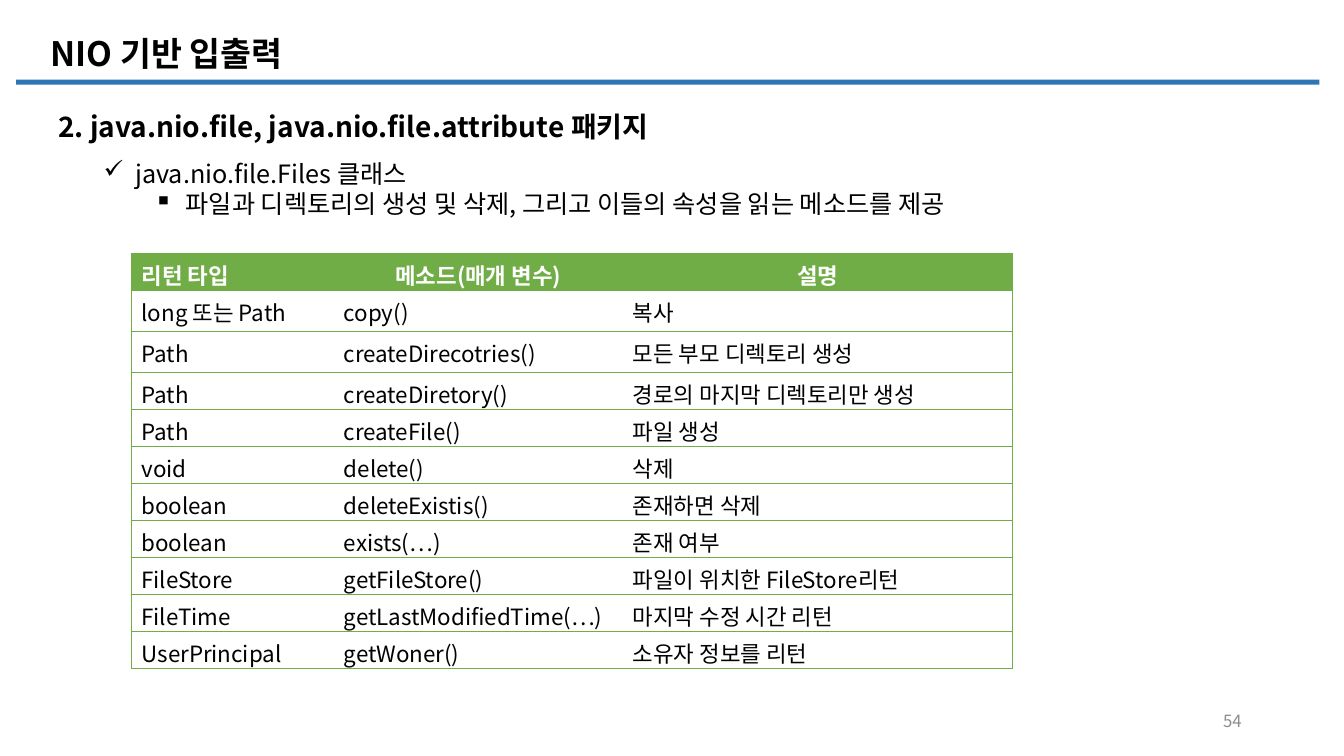
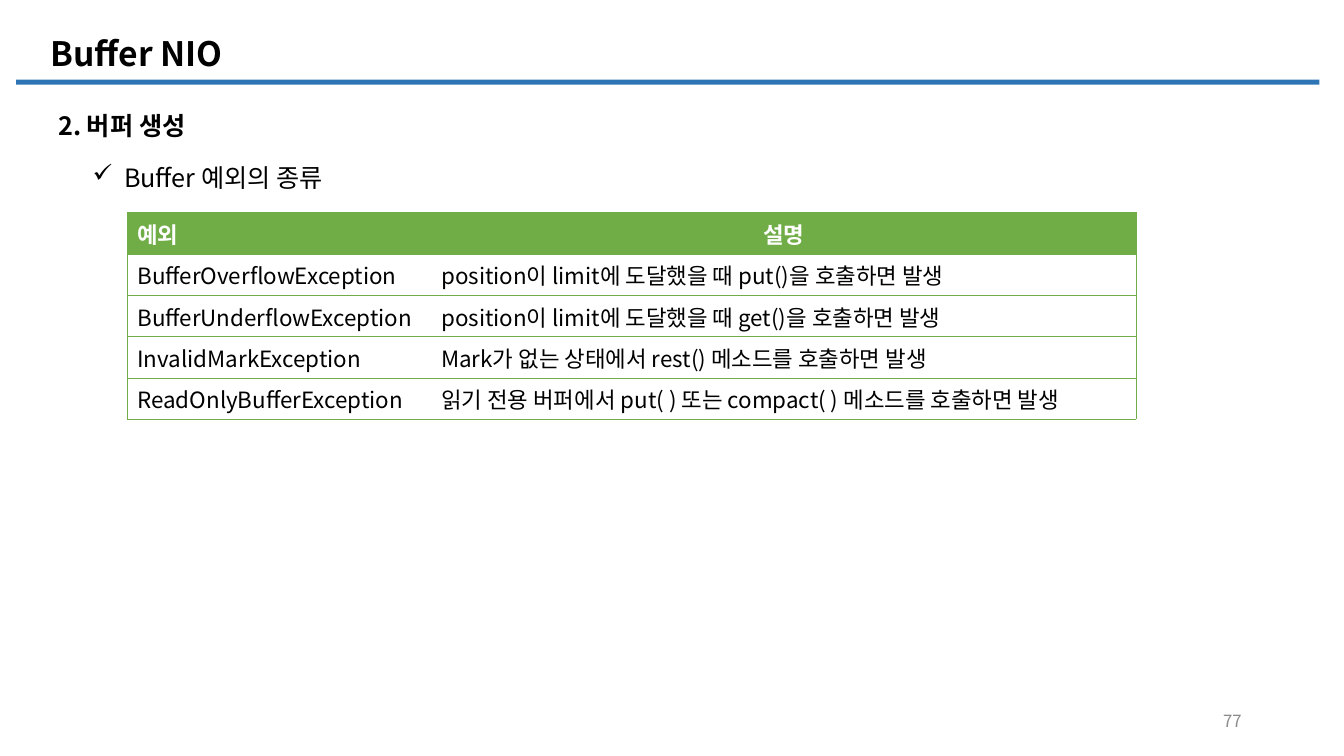
from lxml import etree
from pptx import Presentation
from pptx.dml.color import RGBColor
from pptx.enum.shapes import MSO_SHAPE
from pptx.enum.text import MSO_ANCHOR, PP_ALIGN
from pptx.oxml.ns import qn
from pptx.util import Pt

RECTANGLE = MSO_SHAPE.RECTANGLE
TOP, MIDDLE = MSO_ANCHOR.TOP, MSO_ANCHOR.MIDDLE
LEFT, CENTER, RIGHT = PP_ALIGN.LEFT, PP_ALIGN.CENTER, PP_ALIGN.RIGHT

FONT = "Noto Sans CJK KR"
COLORS = {"text": "000000", "header": "FFFFFF", "number": "8C8C8C",
          "bar": "2E75B6", "table": "70AD47"}
BULLETS = ["✓", "▪"]  # one per level
HANG, LEVEL_STEP = 22.5, 36
BORDER = 0.5

# Content: frames are left, top, width, height in points
SLIDES = [
    {
        "title": "NIO 기반 입출력",
        "number": "54",
        "heading": ("2. java.nio.file, java.nio.file.attribute 패키지", 20),
        "points_frame": (67, 109.5, 799, 73),
        "points": [
            (0, "java.nio.file.Files 클래스"),
            (1, "파일과 디렉토리의 생성 및 삭제, 그리고 이들의 속성을 읽는 메소드를 제공"),
        ],
        "table_at": (93.9, 180.8),
        "columns": [144.5, 206.5, 278.5],
        "row_heights": [22.3] + [29.5] * 2 + [24.5] * 8,
        "rows": [
            ("리턴 타입", "메소드(매개 변수)", "설명"),
            ("long 또는 Path", "copy()", "복사"),
            ("Path", "createDirecotries()", "모든 부모 디렉토리 생성"),
            ("Path", "createDiretory()", "경로의 마지막 디렉토리만 생성"),
            ("Path", "createFile()", "파일 생성"),
            ("void", "delete()", "삭제"),
            ("boolean", "deleteExistis()", "존재하면 삭제"),
            ("boolean", "exists(…)", "존재 여부"),
            ("FileStore", "getFileStore()", "파일이 위치한 FileStore리턴"),
            ("FileTime", "getLastModifiedTime(…)", "마지막 수정 시간 리턴"),
            ("UserPrincipal", "getWoner()", "소유자 정보를 리턴"),
        ],
    },
    {
        "title": "Buffer NIO",
        "number": "77",
        "heading": ("2. 버퍼 생성", 18),
        "points_frame": (59, 112.5, 860, 29),
        "points": [(0, "Buffer 예외의 종류")],
        "table_at": (91, 152),
        "columns": [217, 503.5],
        "row_heights": [29.5] * 5,
        "rows": [
            ("예외", "설명"),
            ("BufferOverflowException", "position이 limit에 도달했을 때 put()을 호출하면 발생"),
            ("BufferUnderflowException", "position이 limit에 도달했을 때 get()을 호출하면 발생"),
            ("InvalidMarkException", "Mark가 없는 상태에서 rest() 메소드를 호출하면 발생"),
            ("ReadOnlyBufferException",
             "읽기 전용 버퍼에서 put( ) 또는 compact( ) 메소드를 호출하면 발생"),
        ],
    },
]


def rgb(name):
    return RGBColor.from_string(COLORS[name])


def add_span(para, text, size, color="text", bold=False):
    span = para.add_run()
    span.text = text
    span.font.name = FONT
    span.font.size = Pt(size)
    span.font.bold = bold
    span.font.color.rgb = rgb(color)
    east_asian = etree.SubElement(span.font._element, qn("a:ea"))
    east_asian.set("typeface", FONT)


def add_box(page, frame, anchor=TOP):
    box = page.shapes.add_textbox(*map(Pt, frame))
    box.text_frame.word_wrap = True
    box.text_frame.vertical_anchor = anchor
    return box.text_frame


def add_line(page, frame, text, size, color="text", bold=True, anchor=TOP, align=LEFT):
    para = add_box(page, frame, anchor).paragraphs[0]
    para.alignment = align
    add_span(para, text, size, color, bold)


def add_points(page, frame, points):
    body = add_box(page, frame)
    for index, (level, text) in enumerate(points):
        para = body.add_paragraph() if index else body.paragraphs[0]
        para.level = level
        properties = para._p.get_or_add_pPr()
        properties.set("marL", str(Pt(HANG + level * LEVEL_STEP)))
        properties.set("indent", str(Pt(-HANG)))
        etree.SubElement(properties, qn("a:buChar")).set("char", BULLETS[level])
        add_span(para, text, 18)


def set_borders(cell, visible):
    properties = cell._tc.get_or_add_tcPr()
    for side in ("lnL", "lnR", "lnT", "lnB"):
        line = etree.SubElement(properties, qn("a:" + side), w=str(Pt(BORDER)))
        if side in visible:
            fill = etree.SubElement(line, qn("a:solidFill"))
            etree.SubElement(fill, qn("a:srgbClr"), val=COLORS["table"])
        else:
            etree.SubElement(line, qn("a:noFill"))


def add_grid(page, position, columns, heights, rows):
    frame = (*position, sum(columns), sum(heights))
    table = page.shapes.add_table(len(rows), len(columns), *map(Pt, frame)).table
    table.horz_banding = False
    for column, width in zip(table.columns, columns):
        column.width = Pt(width)
    for row_index, (height, texts) in enumerate(zip(heights, rows)):
        table.rows[row_index].height = Pt(height)
        is_header = row_index == 0
        for column_index, text in enumerate(texts):
            cell = table.cell(row_index, column_index)
            visible = {"lnT", "lnB"}
            if column_index == 0:
                visible.add("lnL")
            if column_index == len(columns) - 1:
                visible.add("lnR")
            set_borders(cell, visible)
            if is_header:
                cell.fill.solid()
                cell.fill.fore_color.rgb = rgb("table")
            else:
                cell.fill.background()
            para = cell.text_frame.paragraphs[0]
            para.alignment = CENTER if is_header and column_index else LEFT
            add_span(para, text, 16, "header" if is_header else "text", is_header)


def add_frame(page, title, number):
    """Title, bar and page number shared by all slides."""
    add_line(page, (29, 19, 685, 38), title, 24, anchor=MIDDLE)
    bar = page.shapes.add_shape(RECTANGLE, Pt(11.5), Pt(56.9), Pt(931), Pt(3.6))
    bar.shadow.inherit = False
    bar.fill.solid()
    bar.fill.fore_color.rgb = rgb("bar")
    bar.line.fill.background()
    add_line(page, (678, 500.5, 216, 28.8), number, 12, "number", False, MIDDLE, RIGHT)


def main():
    deck = Presentation()
    deck.slide_width, deck.slide_height = Pt(960), Pt(540)
    for content in SLIDES:
        page = deck.slides.add_slide(deck.slide_layouts[6])
        add_frame(page, content["title"], content["number"])
        heading, size = content["heading"]
        add_line(page, (34.5, 75, 640, 31), heading, size)
        add_points(page, content["points_frame"], content["points"])
        add_grid(page, content["table_at"], content["columns"],
                 content["row_heights"], content["rows"])
    deck.save("out.pptx")


if __name__ == "__main__":
    main()
